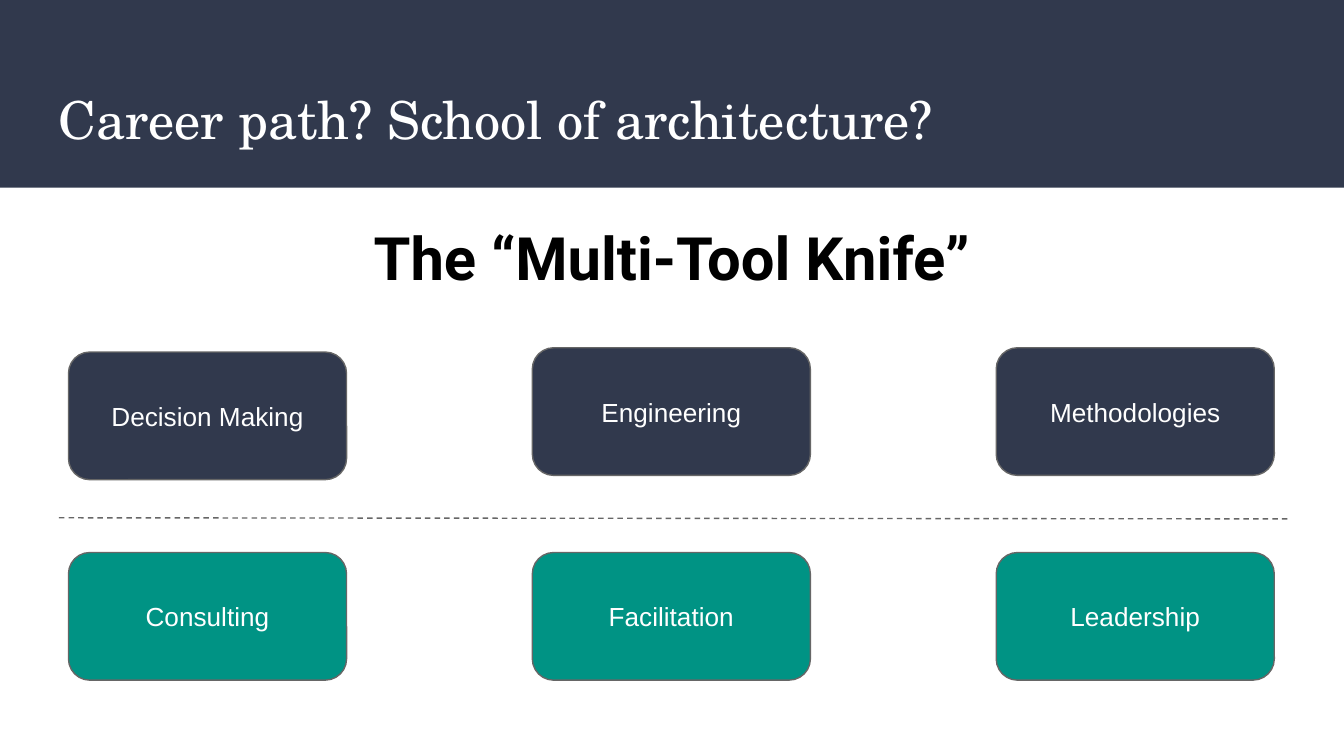
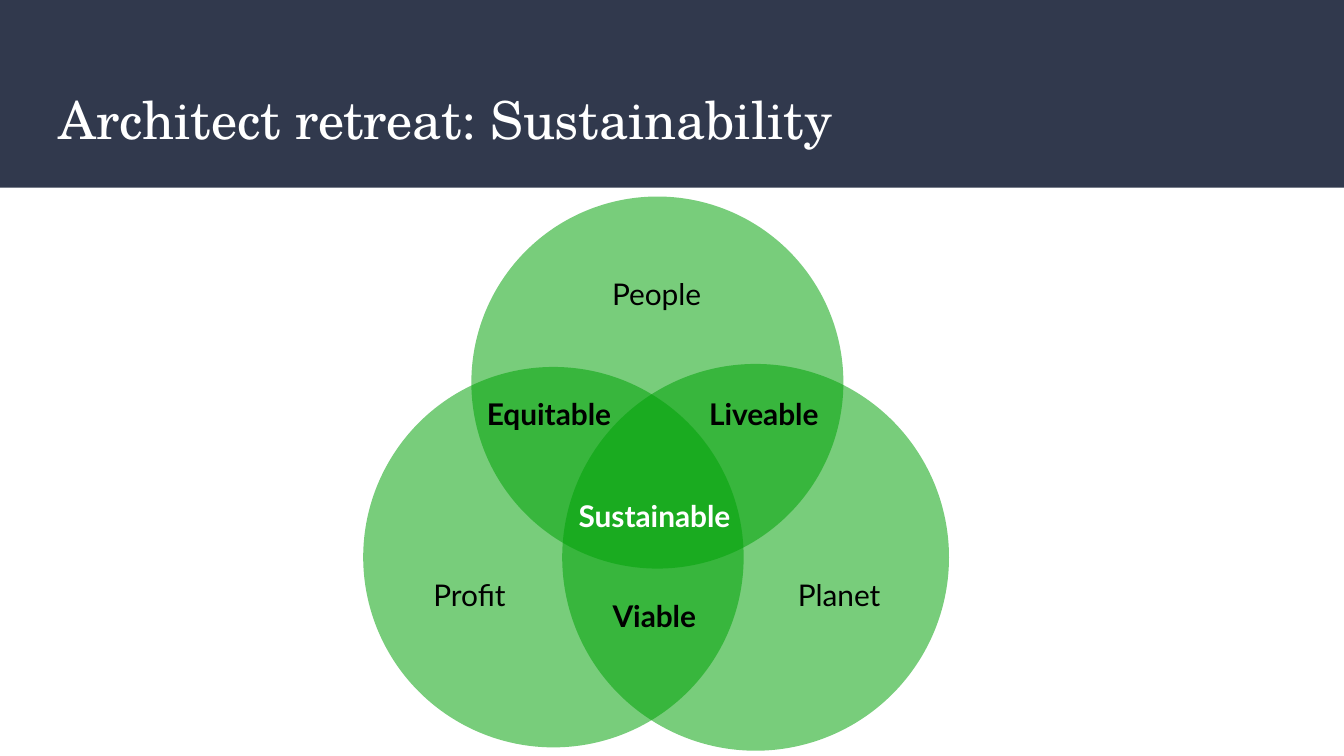
from lxml import etree
from pptx import Presentation
from pptx.dml.color import RGBColor
from pptx.enum import dml, shapes, text
from pptx.oxml import ns
from pptx.util import Pt

NAVY = RGBColor(0x31, 0x39, 0x4D)
TEAL = RGBColor(0x00, 0x93, 0x84)
GREEN = RGBColor(0x00, 0xA2, 0x07)
GRAY = RGBColor(0x66, 0x66, 0x66)
WHITE = RGBColor(0xFF, 0xFF, 0xFF)
BLACK = RGBColor(0x00, 0x00, 0x00)

WIDTH, HEIGHT = 720, 405
INSET = 7.2
OPACITY = 53


def write(shape, content, font="Arial", size=14, color=BLACK, bold=False,
          align=text.PP_ALIGN.CENTER, anchor=text.MSO_ANCHOR.TOP):
    """Put one formatted paragraph into a shape."""
    frame = shape.text_frame
    frame.word_wrap = True
    frame.vertical_anchor = anchor
    frame.margin_left = frame.margin_right = Pt(INSET)
    frame.margin_top = frame.margin_bottom = Pt(INSET)
    paragraph = frame.paragraphs[0]
    paragraph.alignment = align
    run = paragraph.add_run()
    run.text = content
    run.font.name = font
    run.font.size = Pt(size)
    run.font.bold = bold
    run.font.color.rgb = color


class Deck:
    """Holds the shared style and the current slide."""

    def __init__(self):
        self.presentation = Presentation()
        self.presentation.slide_width = Pt(WIDTH)
        self.presentation.slide_height = Pt(HEIGHT)
        self.slide = None

    def new_slide(self, title):
        self.slide = self.presentation.slides.add_slide(
            self.presentation.slide_layouts[6])
        self.shape(shapes.MSO_SHAPE.RECTANGLE, 0, 0, WIDTH, 100.5, NAVY)
        self.label(title, 24.5, 39.6, 671, 49, font="TeX Gyre Schola",
                   size=28, color=WHITE, align=text.PP_ALIGN.LEFT)

    def shape(self, kind, left, top, width, height, fill, line=None):
        shape = self.slide.shapes.add_shape(
            kind, Pt(left), Pt(top), Pt(width), Pt(height))
        shape.shadow.inherit = False
        shape.fill.solid()
        shape.fill.fore_color.rgb = fill
        if line is None:
            shape.line.fill.background()
        else:
            shape.line.color.rgb = line
            shape.line.width = Pt(0.75)
        return shape

    def label(self, content, left, top, width, height, **style):
        box = self.slide.shapes.add_textbox(
            Pt(left), Pt(top), Pt(width), Pt(height))
        write(box, content, **style)

    def card(self, content, left, top, fill):
        card = self.shape(shapes.MSO_SHAPE.ROUNDED_RECTANGLE,
                          left, top, 149, 68.4, fill, GRAY)
        write(card, content, color=WHITE, anchor=text.MSO_ANCHOR.MIDDLE)

    def circle(self, left, top, diameter):
        circle = self.shape(shapes.MSO_SHAPE.OVAL,
                            left, top, diameter, diameter, GREEN)
        color = circle.fill._xPr.find(".//" + ns.qn("a:srgbClr"))
        etree.SubElement(color, ns.qn("a:alpha"), val=str(OPACITY * 1000))

    def dashed_line(self, x1, y1, x2, y2):
        line = self.slide.shapes.add_connector(
            shapes.MSO_CONNECTOR.STRAIGHT, Pt(x1), Pt(y1), Pt(x2), Pt(y2))
        line.line.color.rgb = GRAY
        line.line.width = Pt(0.75)
        line.line.dash_style = dml.MSO_LINE.DASH
        etree.SubElement(line._element.spPr, ns.qn("a:effectLst"))


def skills_slide(deck):
    deck.new_slide("Career path? School of architecture?")
    deck.label("The “Multi-Tool Knife”", 168.5, 110.9, 383, 44,
               font="Roboto", size=32, bold=True)

    # Two rows of skills; the first card sits slightly lower
    rows = [
        (NAVY, [("Decision Making", 188.6), ("Engineering", 186.3),
                ("Methodologies", 186.3)]),
        (TEAL, [("Consulting", 296), ("Facilitation", 296),
                ("Leadership", 296)]),
    ]
    for fill, cards in rows:
        for column, (name, top) in enumerate(cards):
            deck.card(name, 36.7 + column * 248.5, top, fill)
    deck.dashed_line(31.6, 277.4, 690.2, 278)


def sustainability_slide(deck):
    deck.new_slide("Architect retreat: Sustainability")

    # Overlapping circles: planet, people, profit
    for left, top, diameter in [(301.2, 195, 207.2), (252.5, 105.3, 199.3),
                                (194.6, 196.6, 203.8)]:
        deck.circle(left, top, diameter)

    # Names of the circles and of their overlaps
    labels = [
        ("People", 314, 140.4, 75.6, BLACK, False),
        ("Profit", 212.6, 301.5, 77.8, BLACK, False),
        ("Planet", 410.6, 301.5, 77.8, BLACK, False),
        ("Equitable", 252.4, 204.8, 83.5, BLACK, True),
        ("Liveable", 370.3, 204.8, 77.8, BLACK, True),
        ("Viable", 311.6, 313.2, 77.8, BLACK, True),
        ("Sustainable", 299.2, 259.2, 103, WHITE, True),
    ]
    for name, left, top, width, color, bold in labels:
        deck.label(name, left, top, width, 36.7, font="Lato", size=16,
                   color=color, bold=bold)


def main():
    deck = Deck()
    skills_slide(deck)
    sustainability_slide(deck)
    deck.presentation.save("out.pptx")


if __name__ == "__main__":
    main()
